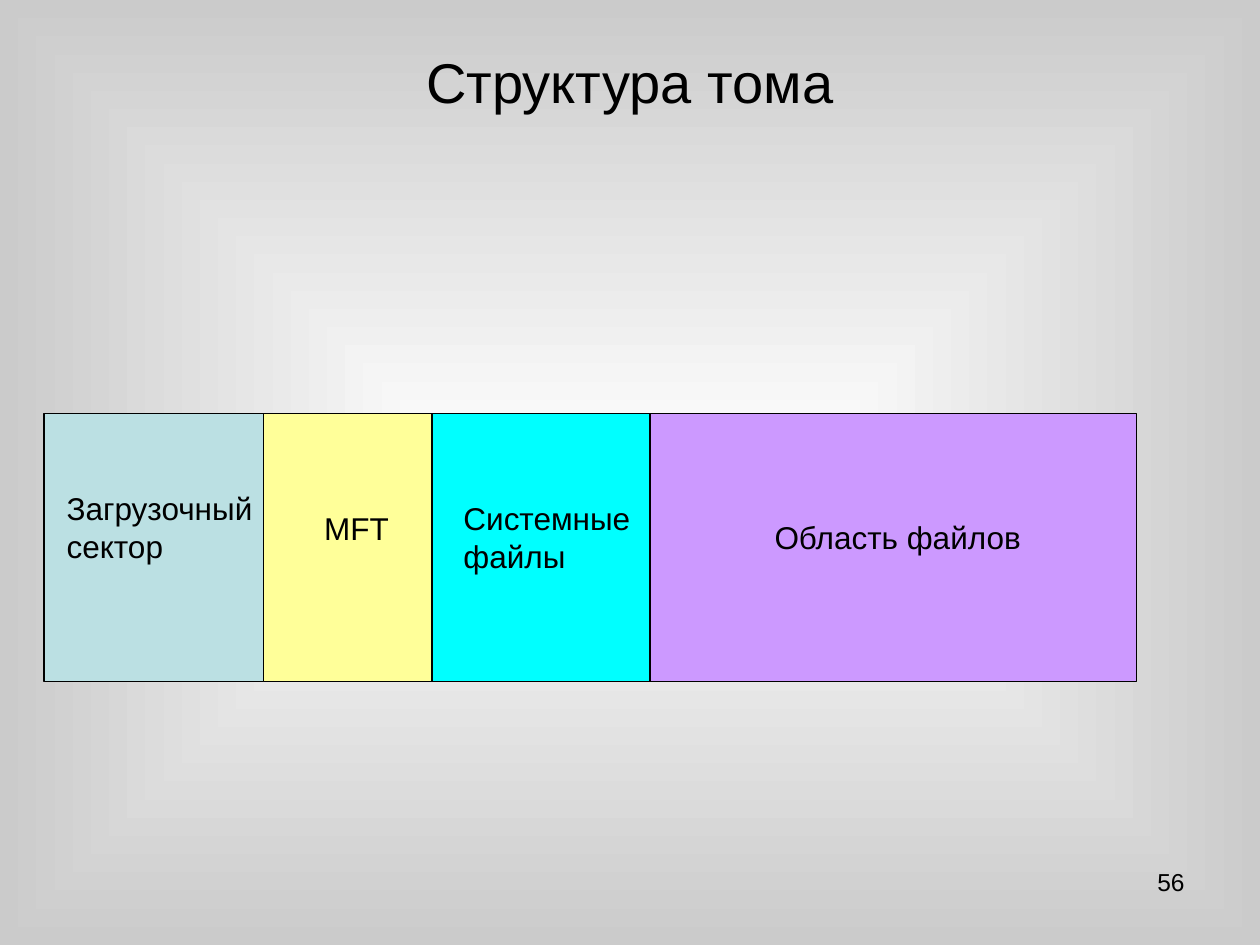
from dataclasses import dataclass

from pptx import Presentation
from pptx import util as u
from pptx.dml.color import RGBColor
from pptx.enum import shapes, text
from pptx.oxml import parse_xml
from pptx.oxml.ns import nsdecls


@dataclass(frozen=True)
class Theme:
    font: str = "Arial"
    ink: str = "000000"
    core: str = "FFFFFF"
    edge: str = "CBCBCB"
    boot: str = "BBE0E3"
    mft: str = "FFFF99"
    system: str = "00FFFF"
    files: str = "CC99FF"
    head: int = 32
    label: int = 18
    page: int = 14
    rule: float = 0.75


T = Theme()
LEFT, CENTER, RIGHT = text.PP_ALIGN.LEFT, text.PP_ALIGN.CENTER, text.PP_ALIGN.RIGHT

# The volume strip, in inches
START, TOP, HIGH = 0.35, 3.28, 2.13

# Part: width, fill, label, label box (offset in part, top, width, height), align
PARTS = [
    (1.74, T.boot, "Загрузочный сектор", (0.08, 3.83, 1.81, 0.7), LEFT),
    (1.34, T.mft, "MFT", (0.15, 3.99, 1.18, 0.4), CENTER),
    (1.73, T.system, "Системные файлы", (0.15, 3.91, 1.65, 0.7), LEFT),
    (3.86, T.files, "Область файлов", (0.39, 4.06, 3.15, 0.4), CENTER),
]


def color(code):
    return RGBColor.from_string(code)


def inches(box):
    return [u.Inches(v) for v in box]


def paint(slide):
    """Fill the background with a gradient spreading from the centre."""
    slide.element.cSld.insert(0, parse_xml(
        f'<p:bg {nsdecls("p", "a")}><p:bgPr><a:gradFill rotWithShape="0"><a:gsLst>'
        f'<a:gs pos="0"><a:srgbClr val="{T.core}"/></a:gs>'
        f'<a:gs pos="100000"><a:srgbClr val="{T.edge}"/></a:gs></a:gsLst>'
        '<a:path path="shape"><a:fillToRect l="50000" t="50000" r="50000" b="50000"/>'
        '</a:path></a:gradFill><a:effectLst/></p:bgPr></p:bg>'))


def write(slide, words, box, size, align, anchor=text.MSO_ANCHOR.TOP):
    frame = slide.shapes.add_textbox(*inches(box)).text_frame
    frame.word_wrap = True
    frame.vertical_anchor = anchor
    para = frame.paragraphs[0]
    para.alignment = align
    run = para.add_run()
    run.text = words
    run.font.name = T.font
    run.font.size = u.Pt(size)
    run.font.color.rgb = color(T.ink)


def block(slide, box, fill):
    rect = slide.shapes.add_shape(shapes.MSO_SHAPE.RECTANGLE, *inches(box))
    rect.shadow.inherit = False
    rect.fill.solid()
    rect.fill.fore_color.rgb = color(fill)
    rect.line.color.rgb = color(T.ink)
    rect.line.width = u.Pt(T.rule)


def strip(slide):
    """Lay the parts of the volume side by side."""
    left = START
    for wide, fill, label, (shift, top, span, high), align in PARTS:
        block(slide, (left, TOP, wide, HIGH), fill)
        write(slide, label, (left + shift, top, span, high), T.label, align)
        left += wide


def main():
    deck = Presentation()
    deck.slide_width, deck.slide_height = inches((10, 7.5))
    slide = deck.slides.add_slide(deck.slide_layouts[6])
    paint(slide)

    # Page number and title
    write(slide, "56", (7.17, 6.83, 2.33, 0.52), T.page, RIGHT)
    write(slide, "Структура тома", (0.5, 0.3, 9, 0.69), T.head, CENTER,
          text.MSO_ANCHOR.MIDDLE)

    # Volume layout
    strip(slide)
    deck.save("out.pptx")


if __name__ == "__main__":
    main()
